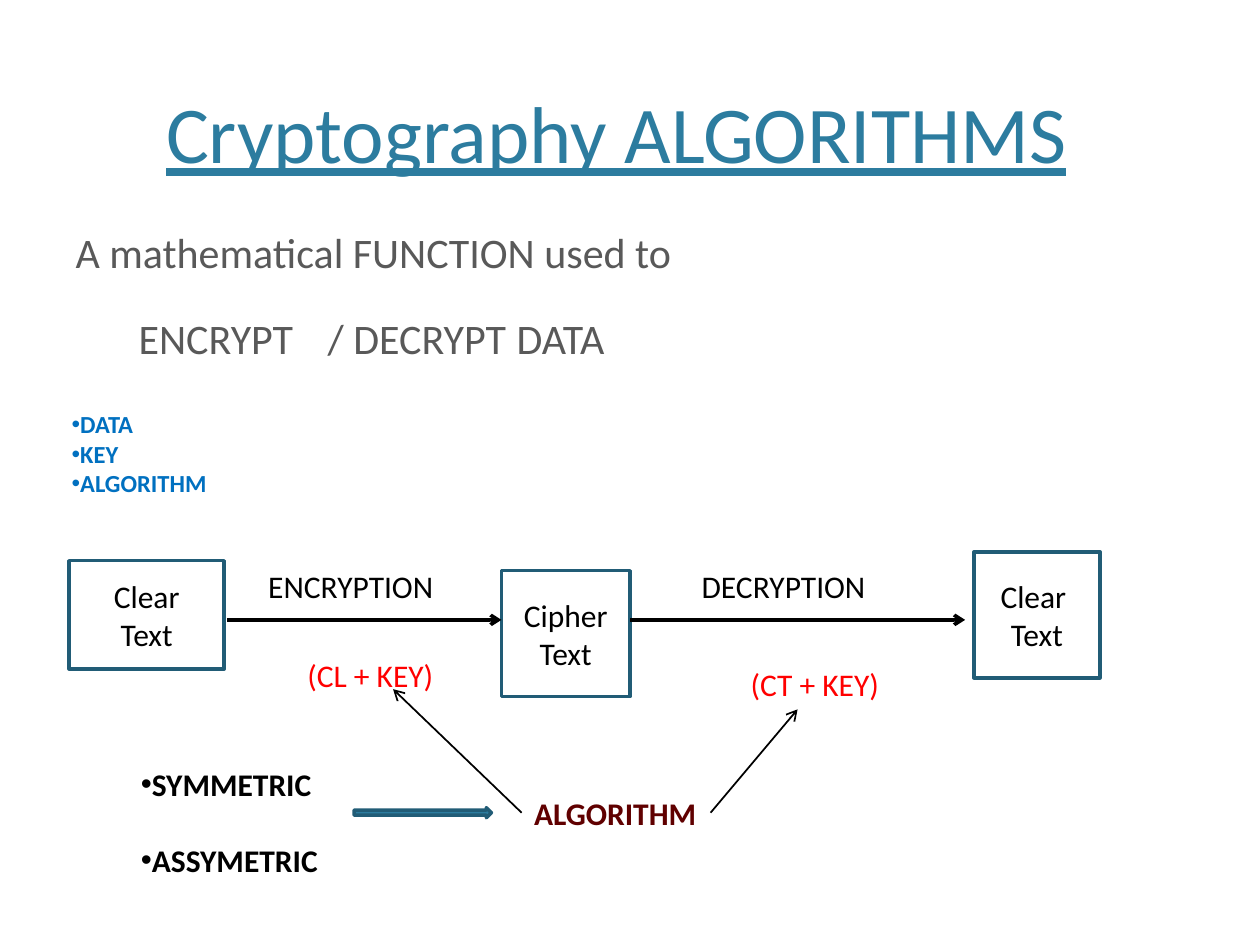
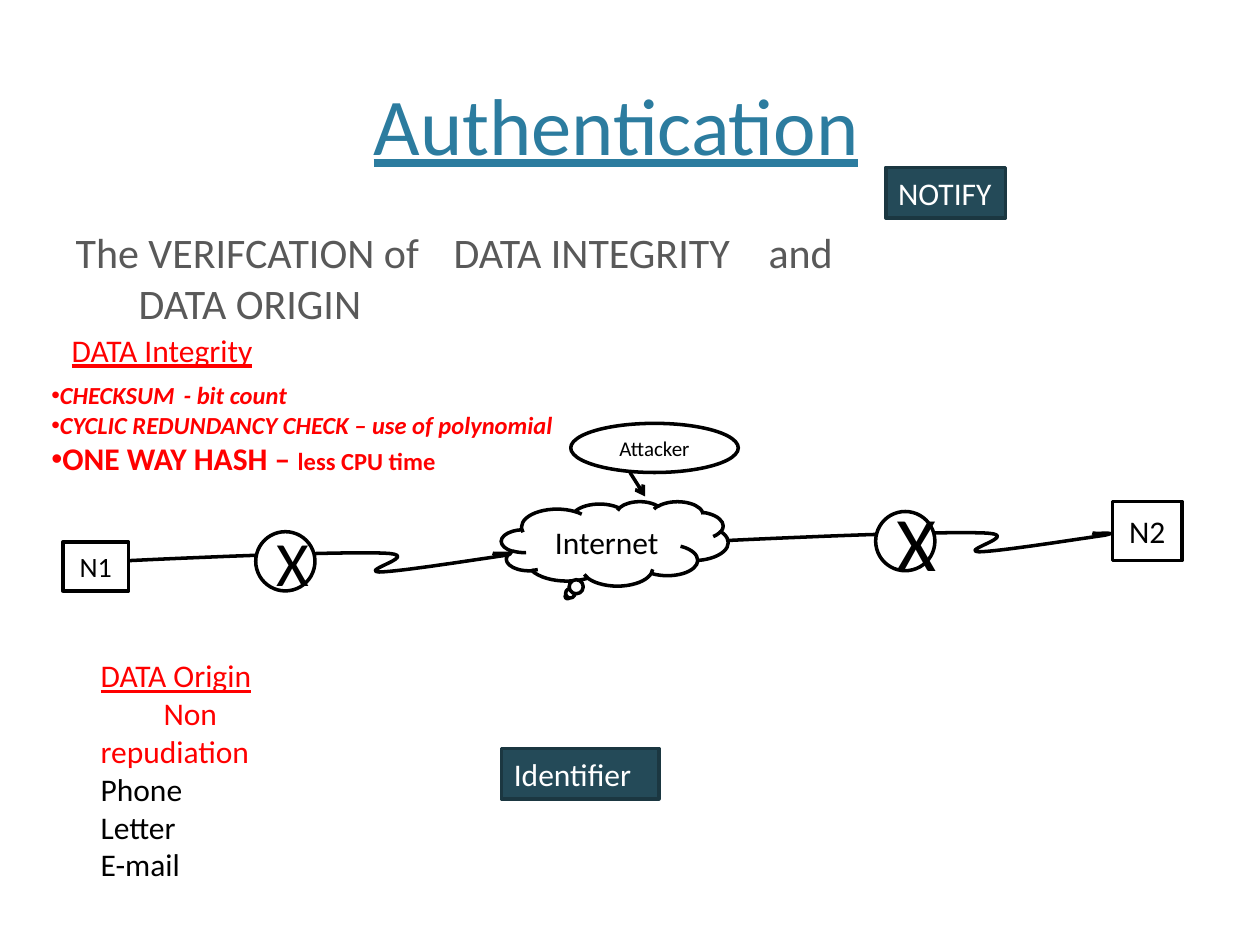
import pptx
import pptx.dml.color
import pptx.enum.shapes
import pptx.enum.text
import pptx.oxml.ns
import pptx.util
from lxml import etree

Inches = pptx.util.Inches
Pt = pptx.util.Pt
RGBColor = pptx.dml.color.RGBColor
SHAPE = pptx.enum.shapes.MSO_SHAPE
STRAIGHT = pptx.enum.shapes.MSO_CONNECTOR.STRAIGHT
ANCHOR = pptx.enum.text.MSO_ANCHOR
FIT = pptx.enum.text.MSO_AUTO_SIZE
CENTER = pptx.enum.text.PP_ALIGN.CENTER
qn = pptx.oxml.ns.qn

FONT = "Calibri"
BLACK = RGBColor(0x00, 0x00, 0x00)
WHITE = RGBColor(0xFF, 0xFF, 0xFF)
RED = RGBColor(0xFF, 0x00, 0x00)
MAROON = RGBColor(0x60, 0x00, 0x00)
BLUE = RGBColor(0x00, 0x70, 0xC0)
TEAL = RGBColor(0x2C, 0x7C, 0x9F)
TEAL_EDGE = RGBColor(0x21, 0x5C, 0x76)
SLATE = RGBColor(0x24, 0x4A, 0x58)
SLATE_EDGE = RGBColor(0x1B, 0x37, 0x41)
GRAY = RGBColor(0x59, 0x59, 0x59)

# A paragraph is a string, or a list of (text, style) runs.
# Slide 1: cryptography
CRYPTO_BODY = ["A mathematical FUNCTION used to", "\tENCRYPT\t/ DECRYPT\tDATA"]
TEXT_BOXES = [
    (["Clear", "Text"], (0.55, 4.45, 1.23, 0.86)),
    (["Cipher", "Text"], (3.98, 4.53, 1.02, 1)),
    (["Clear ", "Text"], (7.73, 4.38, 1, 1)),
]
CRYPTO_LABELS = [
    (["ENCRYPTION"], (2.03, 4.45, 1.52, 0.4), {}),
    (["DECRYPTION"], (5.47, 4.45, 1.51, 0.4), {}),
    (["(CL + KEY)"], (2.34, 5.16, 1.22, 0.4), {"color": RED}),
    (["(CT + KEY)"], (5.86, 5.23, 1.23, 0.4), {"color": RED}),
    (["ALGORITHM"], (4.14, 6.25, 1.5, 0.4), {"color": MAROON, "bold": True}),
    (["DATA", "KEY", "ALGORITHM"], (0.47, 3.2, 1.28, 0.81),
     {"size": 14, "color": BLUE, "bold": True, "bullet": True}),
    (["SYMMETRIC", "ASSYMETRIC"], (1.02, 6.02, 1.62, 1.01),
     {"bold": True, "bullet": True, "gap": 22}),
]
CRYPTO_ARROWS = [
    ((1.8, 4.92), (3.98, 4.92), 2),
    ((5, 4.92), (7.66, 4.92), 2),
    ((4.14, 6.45), (3.12, 5.47), 1),
    ((5.64, 6.45), (6.33, 5.63), 1),
]

# Slide 2: authentication
AUTH_BODY = ["The VERIFCATION of\tDATA INTEGRITY\tand", "\tDATA ORIGIN"]
INTEGRITY_CHECKS = [
    [("CHECKSUM\t- bit count", {"italic": True})],
    [("CYCLIC REDUNDANCY CHECK – use of polynomial", {"italic": True})],
    [("ONE WAY HASH – ", {"size": 18}), ("less CPU time", {})],
]
ORIGIN = [
    [("DATA Origin", {"color": RED, "underline": True})],
    [("\tNon repudiation", {"color": RED})],
    "Phone", "Letter", "E-mail",
]
AUTH_LABELS = [
    ([[("DATA Integrity", {"underline": True})]], (0.47, 2.58, 1.92, 0.4), {"color": RED}),
    (INTEGRITY_CHECKS, (0.31, 2.97, 4.22, 1.11),
     {"size": 14, "color": RED, "bold": True, "bullet": True, "tabs": (1.05,)}),
    (ORIGIN, (0.7, 5.16, 2.35, 1.92), {"tabs": (0.45,)}),
]
HOSTS = [
    ("N1", SHAPE.RECTANGLE, (0.5, 4.3, 0.52, 0.39), 16),
    ("N2", SHAPE.RECTANGLE, (8.83, 3.98, 0.55, 0.47), 18),
    ("Internet", SHAPE.CLOUD_CALLOUT, (3.98, 3.98, 1.8, 0.67), 18),
    ("Attacker", SHAPE.OVAL, (4.53, 3.36, 1.33, 0.39), 12),
]
ROUTERS = [
    ("X", SHAPE.OVAL, (2.03, 4.22, 0.47, 0.47), 36),
    ("X", SHAPE.OVAL, (6.95, 4.06, 0.47, 0.47), 44),
]
TAGS = [("NOTIFY", (7.03, 1.33, 0.95, 0.4)), ("Identifier", (3.98, 5.94, 1.25, 0.4))]
# Bezier points relative to the start: each curve has two controls and an end.
WIRE = [(0, 0), (0.84, -0.04), (1.69, -0.07), (2.02, -0.06),
        (2.36, -0.05), (1.83, 0.08), (1.99, 0.09),
        (2.14, 0.09), (2.83, -0.02), (2.98, -0.04),
        (3.13, -0.07), (2.9, -0.05), (2.89, -0.06)]
WIRE_STARTS = [(1.02, 4.45), (5.78, 4.29)]


def style_paragraph(para, bullet=False, tabs=()):
    """Remove the indent, then set the bullet and the tab stops (in inches)."""
    props = para._p.get_or_add_pPr()
    props.set("marL", "0")
    props.set("indent", "0")
    if bullet:
        etree.SubElement(props, qn("a:buFont"), typeface="Arial")
        etree.SubElement(props, qn("a:buChar"), char="•")
    else:
        etree.SubElement(props, qn("a:buNone"))
    if tabs:
        stops = etree.SubElement(props, qn("a:tabLst"))
        for stop in tabs:
            etree.SubElement(stops, qn("a:tab"), pos=str(Inches(stop)), algn="l")


def write(frame, paragraphs, size=18, color=BLACK, bold=False, bullet=False,
          tabs=(), align=None, gap=0):
    for index, content in enumerate(paragraphs):
        para = frame.add_paragraph() if index else frame.paragraphs[0]
        style_paragraph(para, bullet, tabs)
        para.alignment = align
        para.space_before = Pt(gap if index else 0)
        runs = [(content, {})] if isinstance(content, str) else content
        for text, style in runs:
            span = para.add_run()
            span.text = text
            span.font.name = FONT
            span.font.size = Pt(style.get("size", size))
            span.font.color.rgb = style.get("color", color)
            span.font.bold = bold
            span.font.italic = style.get("italic", False)
            span.font.underline = style.get("underline", False)


def place(shape, box):
    shape.left, shape.top, shape.width, shape.height = map(Inches, box)


def add_page(deck, title, title_top, body, tabs, gap):
    page = deck.slides.add_slide(deck.slide_layouts[1])
    heading, content = page.placeholders
    place(heading, (0.39, title_top, 9, 1.25))
    heading.text_frame.vertical_anchor = ANCHOR.BOTTOM
    heading.text_frame.auto_size = FIT.NONE
    write(heading.text_frame, [[(title, {"underline": True})]], 46, TEAL, align=CENTER)
    place(content, (0.5, 1.75, 9, 5.44))
    content.text_frame.auto_size = FIT.NONE
    write(content.text_frame, body, 24, GRAY, tabs=tabs, gap=gap)
    return page


def add_label(page, paragraphs, box, style):
    label = page.shapes.add_textbox(*map(Inches, box))
    label.text_frame.word_wrap = paragraphs is INTEGRITY_CHECKS
    label.text_frame.auto_size = FIT.SHAPE_TO_FIT_TEXT
    write(label.text_frame, paragraphs, **style)


def add_shape(page, kind, box, fill=WHITE, edge=BLACK):
    shape = page.shapes.add_shape(kind, *map(Inches, box))
    shape.shadow.inherit = False
    shape.fill.solid()
    shape.fill.fore_color.rgb = fill
    shape.line.color.rgb = edge
    shape.line.width = Pt(2)
    shape.text_frame.vertical_anchor = ANCHOR.MIDDLE
    return shape


def add_node(page, text, kind, box, size):
    node = add_shape(page, kind, box)
    write(node.text_frame, [text], size, align=CENTER)


def add_arrow(page, start, end, width):
    arrow = page.shapes.add_connector(STRAIGHT, *map(Inches, start + end))
    arrow.line.color.rgb = BLACK
    arrow.line.width = Pt(width)
    etree.SubElement(arrow.line._get_or_add_ln(), qn("a:tailEnd"), type="arrow")
    etree.SubElement(arrow._element.spPr, qn("a:effectLst"))


def bezier_points(points, steps=16):
    """Sample a chain of cubic curves, without its first point."""
    for first in range(0, len(points) - 1, 3):
        curve = points[first:first + 4]
        for step in range(1, steps + 1):
            t = step / steps
            weights = ((1 - t) ** 3, 3 * t * (1 - t) ** 2, 3 * t * t * (1 - t), t ** 3)
            yield tuple(sum(w * point[axis] for w, point in zip(weights, curve))
                        for axis in (0, 1))


def add_wire(page, start):
    x, y = start
    builder = page.shapes.build_freeform(Inches(x), Inches(y))
    builder.add_line_segments(
        [(Inches(x + dx), Inches(y + dy)) for dx, dy in bezier_points(WIRE)], close=False)
    wire = builder.convert_to_shape()
    wire.shadow.inherit = False
    wire.fill.background()
    wire.line.color.rgb = BLACK
    wire.line.width = Pt(2)


def build_cryptography(deck):
    page = add_page(deck, "Cryptography ALGORITHMS", 0.23, CRYPTO_BODY,
                    tabs=(1.38, 2.77, 4.41), gap=20)
    for lines, box in TEXT_BOXES:
        shape = add_shape(page, SHAPE.RECTANGLE, box, edge=TEAL_EDGE)
        write(shape.text_frame, lines, align=CENTER)
    for label in CRYPTO_LABELS:
        add_label(page, *label)
    for arrow in CRYPTO_ARROWS:
        add_arrow(page, *arrow)
    add_shape(page, SHAPE.RIGHT_ARROW, (2.81, 6.41, 1.09, 0.08), TEAL, TEAL_EDGE)


def build_authentication(deck):
    page = add_page(deck, "Authentication", 0.16, AUTH_BODY,
                    tabs=(0.91, 2.88, 5.38), gap=0)
    for host in HOSTS:
        add_node(page, *host)
    for start in WIRE_STARTS:
        add_wire(page, start)
    for router in ROUTERS:
        add_node(page, *router)
    add_arrow(page, (5, 3.75), (5.12, 3.94), 2)
    for label in AUTH_LABELS:
        add_label(page, *label)
    for text, box in TAGS:
        tag = add_shape(page, SHAPE.RECTANGLE, box, SLATE, SLATE_EDGE)
        write(tag.text_frame, [text], color=WHITE, align=pptx.enum.text.PP_ALIGN.LEFT)


def main():
    deck = pptx.Presentation()
    deck.slide_width, deck.slide_height = Inches(10), Inches(7.5)
    build_cryptography(deck)
    build_authentication(deck)
    deck.save("out.pptx")


if __name__ == "__main__":
    main()
